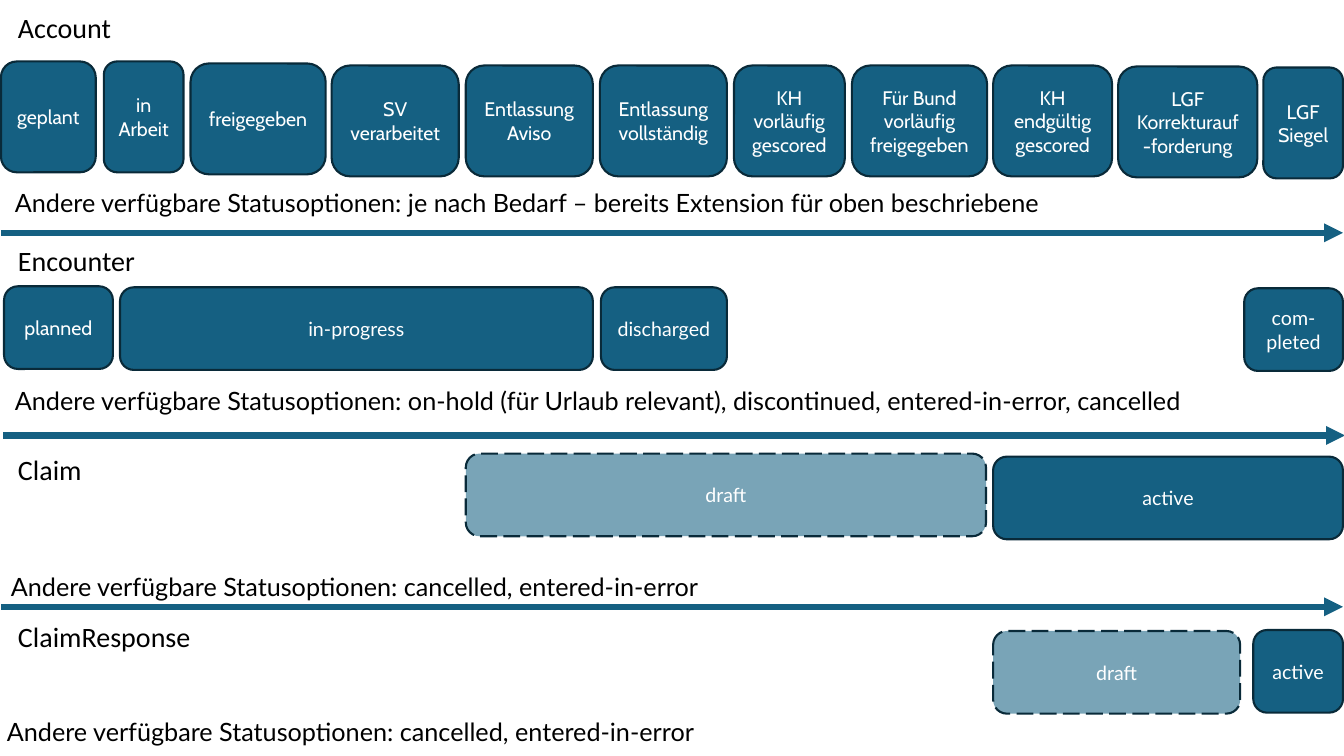
from collections import namedtuple

from lxml import etree
from pptx import Presentation
from pptx import util as u
from pptx.dml.color import RGBColor
from pptx.enum import dml, shapes, text
from pptx.oxml.ns import qn

COLS, ROWS = 1333, 750  # fine grid laid over the slide
BLUE, EDGE, WHITE, BLACK = "156082", "092A39", "FFFFFF", "000000"
OTHERS = "Andere verfügbare Statusoptionen: "

Box = namedtuple("Box", "left top width height")
# left and top are counted from the lane's corner
State = namedtuple("State", "label left top width font draft", defaults=("Lato", False))
# title and note are boxes in the lane; arrow is the column where the line begins
Lane = namedtuple("Lane", "name box title note note_text height states arrow")

LANES = [
    Lane("Account", Box(0, 0, COLS, 231), Box(8, 6, 144, 44), Box(5, 181, 1311, 40),
         OTHERS + "je nach Bedarf – bereits Extension für oben beschriebene", 110,
         [State(*state, "Cabin") for state in (
             ("geplant", 1, 61, 94),
             ("in Arbeit", 103, 61, 79),
             ("freigegeben", 189, 63, 134),
             ("SV verarbeitet", 329, 65, 126),
             ("Entlassung Aviso", 462, 65, 126),
             ("Entlassung vollständig", 595, 65, 126),
             ("KH vorläufig gescored", 728, 65, 110),
             ("Für Bund vorläufig freigegeben", 845, 65, 134),
             ("KH endgültig gescored", 985, 65, 118),
             ("LGF Korrekturauf-forderung", 1109, 66, 138),
             ("LGF Siegel", 1253, 67, 79))], 1),
    Lane("Encounter", Box(0, 231, COLS, 201), Box(8, 6, 218, 44), Box(5, 146, 1311, 40),
         OTHERS + "on-hold (für Urlaub relevant), discontinued, entered-in-error, cancelled", 82,
         [State("planned", 4, 53, 108, "Cabin"),
          State("in-progress", 119, 54, 469),
          State("discharged", 596, 54, 125),
          State("com-pleted", 1234, 55, 98)], 3),
    Lane("Claim", Box(0, 432, COLS, 170), Box(8, 12, 131, 44), Box(1, 130, 1068, 40),
         OTHERS + "cancelled, entered-in-error", 82,
         [State("draft", 462, 18, 516, draft=True),
          State("active", 985, 21, 347)], 1),
    Lane("ClaimResponse", Box(0, 602, COLS, 148), Box(8, 8, 236, 44), Box(-3, 104, 1076, 40),
         OTHERS + "cancelled, entered-in-error", 82,
         [State("draft", 985, 24, 245, draft=True),
          State("active", 1243, 23, 89)], None),
]


def rgb(color):
    return RGBColor.from_string(color)


def place(prs, lane, box):
    """Turn a box inside a lane into slide lengths."""
    col, row = prs.slide_width / COLS, prs.slide_height / ROWS
    return (round((lane.left + box.left) * col), round((lane.top + box.top) * row),
            round(box.width * col), round(box.height * row))


def write(tf, words, size, font, color):
    tf.word_wrap = True
    p = tf.paragraphs[0]
    p.text = words
    p.font.size, p.font.name = u.Pt(size), font
    p.font.color.rgb = rgb(color)
    return p


def add_label(slide, at, words, size, font):
    tf = slide.shapes.add_textbox(*at).text_frame
    write(tf, words, size, font, BLACK)
    tf.auto_size = text.MSO_AUTO_SIZE.SHAPE_TO_FIT_TEXT


def add_state(slide, at, state):
    sp = slide.shapes.add_shape(shapes.MSO_SHAPE.ROUNDED_RECTANGLE, *at)
    sp.shadow.inherit = False
    sp.fill.solid()
    sp.fill.fore_color.rgb = rgb(BLUE)
    sp.line.color.rgb = rgb(EDGE)
    sp.line.width = u.Pt(1.5)
    if state.draft:
        sp.line.dash_style = dml.MSO_LINE.LONG_DASH
        color = sp._element.spPr.find(qn("a:solidFill"))[0]
        etree.SubElement(color, qn("a:alpha")).set("val", "57000")
    sp.text_frame.vertical_anchor = text.MSO_ANCHOR.MIDDLE
    p = write(sp.text_frame, state.label, 14, state.font, WHITE)
    p.alignment = text.PP_ALIGN.CENTER


def add_arrow(slide, at):
    left, top, width, _ = at
    line = slide.shapes.add_connector(shapes.MSO_CONNECTOR.STRAIGHT, left, top, left + width, top)
    line.line.color.rgb = rgb(BLUE)
    line.line.width = u.Pt(4.5)
    etree.SubElement(line.line._get_or_add_ln(), qn("a:tailEnd")).set("type", "triangle")
    etree.SubElement(line._element.spPr, qn("a:effectLst"))


def add_lane(prs, slide, lane):
    """Resource name, its states, the note on other states, and the closing arrow."""
    add_label(slide, place(prs, lane.box, lane.title), lane.name, 20, "Calibri")
    for state in lane.states:
        box = Box(state.left, state.top, state.width, lane.height)
        add_state(slide, place(prs, lane.box, box), state)
    add_label(slide, place(prs, lane.box, lane.note), lane.note_text, 18, "Lato")
    if lane.arrow is not None:
        add_arrow(slide, place(prs, lane.box, Box(lane.arrow, lane.box.height, 1331, 0)))


def main():
    prs = Presentation()
    prs.slide_width, prs.slide_height = u.Inches(13.33), u.Inches(7.5)
    slide = prs.slides.add_slide(prs.slide_layouts[6])
    for lane in LANES:
        add_lane(prs, slide, lane)
    prs.save("out.pptx")


if __name__ == "__main__":
    main()
